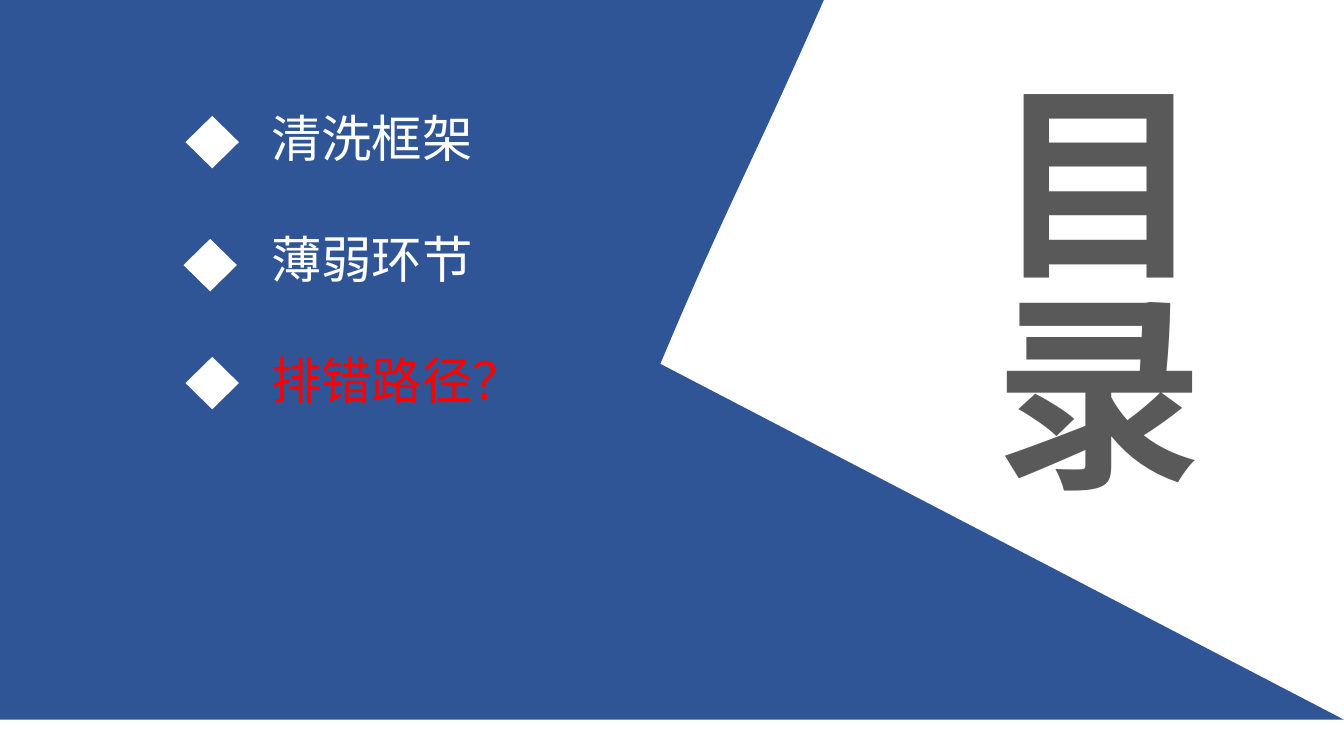
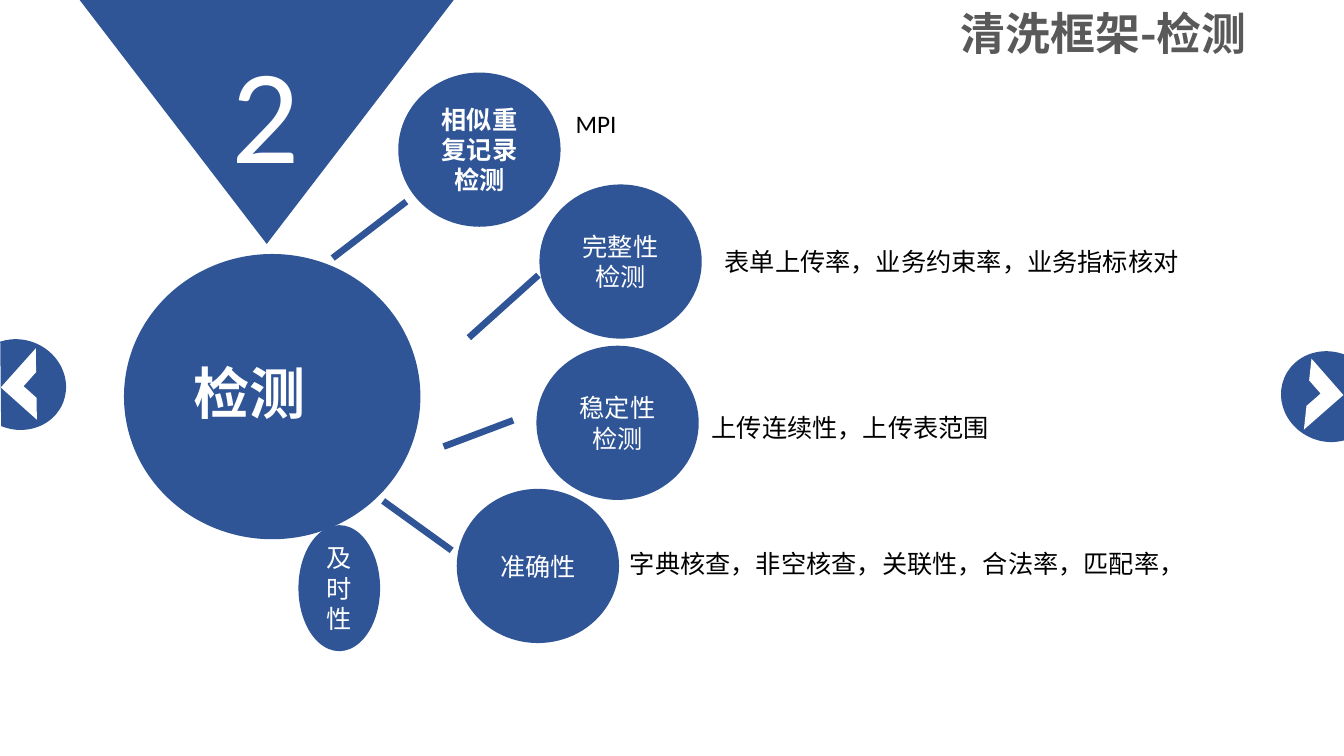
from dataclasses import dataclass

from lxml import etree
from pptx import Presentation
from pptx.dml.color import RGBColor
from pptx.enum.shapes import MSO_CONNECTOR, MSO_SHAPE
from pptx.enum.text import MSO_ANCHOR, MSO_AUTO_SIZE, PP_ALIGN
from pptx.oxml.ns import qn
from pptx.util import Inches, Pt

CHORD = MSO_SHAPE.CHORD
DIAMOND = MSO_SHAPE.FLOWCHART_DECISION
HALF_FRAME = MSO_SHAPE.HALF_FRAME
OVAL = MSO_SHAPE.OVAL
TRIANGLE = MSO_SHAPE.ISOSCELES_TRIANGLE
STRAIGHT = MSO_CONNECTOR.STRAIGHT
CENTER = PP_ALIGN.CENTER
MIDDLE = MSO_ANCHOR.MIDDLE
GROW = MSO_AUTO_SIZE.SHAPE_TO_FIT_TEXT


@dataclass(frozen=True)
class Theme:
    blue: RGBColor = RGBColor(0x2F, 0x55, 0x97)
    grey: RGBColor = RGBColor(0x59, 0x59, 0x59)
    white: RGBColor = RGBColor(0xFF, 0xFF, 0xFF)
    black: RGBColor = RGBColor(0, 0, 0)
    red: RGBColor = RGBColor(0xFF, 0, 0)
    heading_font: str = "Noto Sans CJK SC"
    body_font: str = "Calibri"
    contents_size: int = 150
    number_size: int = 96
    hub_size: int = 40
    menu_size: int = 36
    title_size: int = 32
    body_size: int = 18
    spoke_width: float = 4.75


THEME = Theme()

MENU = [
    ("清洗框架", THEME.white, (1.84, 1.15)),
    ("薄弱环节", THEME.white, (1.82, 2.37)),
    ("排错路径？", THEME.red, (1.84, 3.54)),
]
CHECK_SIZE = (1.61, 1.53)
CHECKS = [
    ("相似重复记录检测", (3.95, 0.72), CHECK_SIZE, True),
    ("完整性检测", (5.35, 1.83), CHECK_SIZE, False),
    ("准确性", (4.53, 4.85), CHECK_SIZE, False),
    ("稳定性检测", (5.32, 3.43), CHECK_SIZE, False),
    ("及时性", (2.96, 5.21), (0.81, 1.25), False),
]
MEASURES = [
    ("MPI", (5.61, 1.03)),
    ("表单上传率，业务约束率，业务指标核对", (7.09, 2.39)),
    ("字典核查，非空核查，关联性，合法率，匹配率，", (6.15, 5.39)),
    ("上传连续性，上传表范围", (6.96, 4.04)),
]
SPOKES = [
    ((3.3, 2.56), (4.03, 2)),
    ((4.65, 3.35), (5.34, 2.73)),
    ((4.4, 4.43), (5.09, 4.17)),
    ((3.8, 4.97), (4.48, 5.46)),
]
PAGE_ARROWS = [
    ((12.7, 3.49), 23.3, (12.71, 3.67), 138.8),
    ((-0.3, 3.37), 202.3, (0.1, 3.57), 311.8),
]


def format_runs(paragraph, size, color, font, bold=False):
    for run in paragraph.runs:
        run.font.size = Pt(size)
        run.font.bold = bold
        run.font.color.rgb = color
        run.font.name = font
        east_asian = etree.SubElement(run.font._element, qn("a:ea"))
        east_asian.set("typeface", font)


def add_label(slide, text, position, size, points, color,
              font=THEME.heading_font, bold=False, wrap=True):
    label = slide.shapes.add_textbox(*map(Inches, position + size))
    frame = label.text_frame
    frame.text = text
    frame.word_wrap = wrap
    frame.auto_size = GROW
    for paragraph in frame.paragraphs:
        format_runs(paragraph, points, color, font, bold)
    return frame


def paint(shape, color):
    shape.shadow.inherit = False
    shape.fill.solid()
    shape.fill.fore_color.rgb = color
    shape.line.fill.background()


def add_figure(slide, preset, position, size, color, rotation=0):
    figure = slide.shapes.add_shape(preset, *map(Inches, position + size))
    figure.rotation = rotation
    paint(figure, color)
    return figure


def add_check(slide, text, position, size, bold):
    check = add_figure(slide, OVAL, position, size, THEME.blue)
    frame = check.text_frame
    frame.text = text
    frame.word_wrap = True
    frame.vertical_anchor = MIDDLE
    frame.paragraphs[0].alignment = CENTER
    format_runs(frame.paragraphs[0], THEME.body_size, THEME.white,
                THEME.heading_font, bold)


def add_spoke(slide, start, end):
    spoke = slide.shapes.add_connector(STRAIGHT, *map(Inches, start + end))
    spoke.line.color.rgb = THEME.blue
    spoke.line.width = Pt(THEME.spoke_width)
    etree.SubElement(spoke._element.spPr, qn("a:effectLst"))


def curve_points(start, control_1, control_2, end, steps=16):
    for step in range(1, steps + 1):
        t = step / steps
        weights = ((1 - t) ** 3, 3 * t * (1 - t) ** 2, 3 * t * t * (1 - t), t ** 3)
        anchors = (start, control_1, control_2, end)
        yield tuple(sum(w * anchor[axis] for w, anchor in zip(weights, anchors))
                    for axis in (0, 1))


def add_backdrop(slide):
    top = (8.32, -0.34)
    bend = curve_points(top, (7.52, 1.51), (7.21, 2.03), (6.55, 3.61))
    outline = [(0, -0.36), top, *bend, (13.33, 7.14)]
    builder = slide.shapes.build_freeform(Inches(0), Inches(7.14))
    builder.add_line_segments([(Inches(x), Inches(y)) for x, y in outline])
    paint(builder.convert_to_shape(), THEME.blue)


def build_contents(slide):
    heading = add_label(slide, "目录", (9.4, 0.66), (2.73, 4.31),
                        THEME.contents_size, THEME.grey, bold=True, wrap=False)
    heading._txBody.bodyPr.set("vert", "eaVert")
    add_backdrop(slide)
    menu = add_label(slide, "\n".join(text for text, _, _ in MENU),
                     (2.59, 1.01), (2.73, 3.74), THEME.menu_size, THEME.white)
    for index, (paragraph, (_, color, marker)) in enumerate(
            zip(menu.paragraphs, MENU)):
        paragraph.space_before = Pt(43.5 if index else 0)
        paragraph.runs[0].font.color.rgb = color
        add_figure(slide, DIAMOND, marker, (0.53, 0.52), THEME.white)


def build_detection(slide):
    for disc, disc_turn, chevron, chevron_turn in PAGE_ARROWS:
        add_figure(slide, CHORD, disc, (0.96, 0.89), THEME.blue, disc_turn)
        add_figure(slide, HALF_FRAME, chevron, (0.52, 0.48), THEME.white,
                   chevron_turn)
    add_figure(slide, TRIANGLE, (0.79, 0), (3.71, 2.42), THEME.blue, 180)
    add_label(slide, "2", (2.2, 0.24), (1.21, 1.72), THEME.number_size,
              THEME.white, THEME.body_font)
    add_figure(slide, OVAL, (1.23, 2.52), (2.94, 2.83), THEME.blue)
    add_label(slide, "检测", (1.82, 3.51), (1.32, 0.77), THEME.hub_size,
              THEME.white, bold=True)
    for start, end in SPOKES:
        add_spoke(slide, start, end)
    for check in CHECKS:
        add_check(slide, *check)
    for text, position in MEASURES:
        add_label(slide, text, position, (5.66, 0.4), THEME.body_size,
                  THEME.black, THEME.body_font)
    add_label(slide, "清洗框架-检测", (9.43, 0.01), (3.09, 0.64),
              THEME.title_size, THEME.grey, bold=True)


def main():
    presentation = Presentation()
    presentation.slide_width = Inches(13.33)
    presentation.slide_height = Inches(7.5)
    blank = presentation.slide_layouts[6]
    for build in (build_contents, build_detection):
        build(presentation.slides.add_slide(blank))
    presentation.save("out.pptx")


if __name__ == "__main__":
    main()
